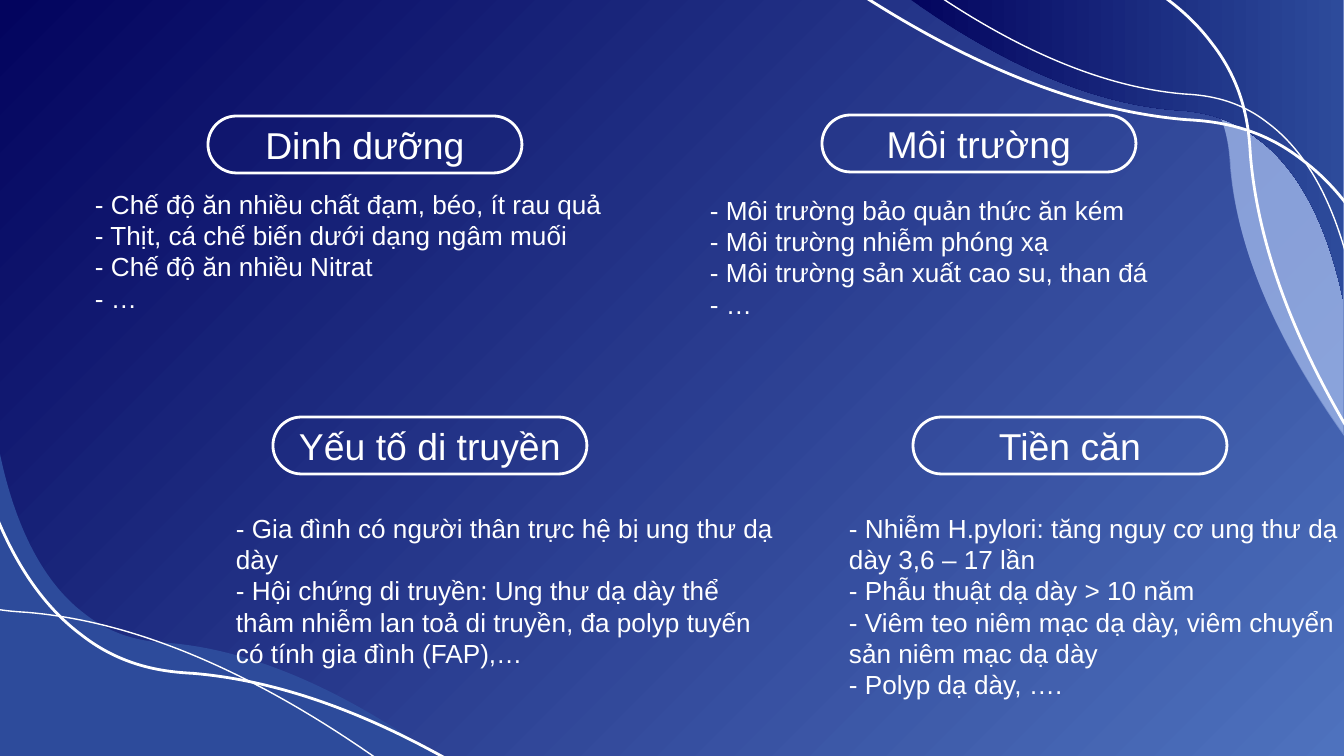
import copy
from dataclasses import dataclass
from typing import NamedTuple, Optional

import lxml.etree
import pptx
import pptx.dml.color
import pptx.enum.shapes
import pptx.enum.text
import pptx.oxml.ns
import pptx.util

EMU_PER_PIXEL = 914400 / 134.4


@dataclass(frozen=True)
class Theme:
    white: str = "FFFFFF"
    navy: str = "03045E"
    blue: str = "2D4B9B"
    light_blue: str = "4E72BE"
    pale_blue: str = "A0B7E9"
    pale_opacity: int = 53
    font: str = "Arial"
    heading_size: int = 20
    body_size: int = 14
    thin_line: float = 0.75
    thick_line: float = 1.5


THEME = Theme()


class Point(NamedTuple):
    x: int
    y: int


class Box(NamedTuple):
    left: int
    top: int
    width: int
    height: int


class Facing(NamedTuple):
    along: Point  # direction of the long side from the corner
    away: Point   # direction of the short side from the corner


RISING = Facing(Point(1, 0), Point(0, -1))
HANGING = Facing(Point(-1, 0), Point(0, 1))
SIDEWAYS = Facing(Point(0, 1), Point(-1, 0))


@dataclass(frozen=True)
class Wave:
    corner: Point
    length: int
    facing: Facing
    fill: Optional[str] = None
    opacity: int = 100
    gradient_end: Optional[str] = None
    line_width: Optional[float] = None


@dataclass(frozen=True)
class Factor:
    heading: str
    pill_left: int
    pill_top: int
    body_box: Box
    lines: tuple[str, ...]


# One wave outline, measured from its corner as (along, away)
WAVE_LENGTH = 436
WAVE_STRAIGHT = [Point(0, 302), Point(0, 0), Point(436, 0)]
WAVE_CURVES = [
    (Point(316, 85), Point(228, 108), Point(169, 113)),
    (Point(152, 114), Point(118, 116), Point(85, 142)),
    (Point(34, 180), Point(11, 250), Point(0, 302)),
]

WAVES = [
    Wave(Point(1344, 0), 436, SIDEWAYS, THEME.pale_blue, THEME.pale_opacity),
    Wave(Point(0, 756), 436, RISING, THEME.blue),
    Wave(Point(-198, 763), 581, RISING, line_width=THEME.thin_line),
    Wave(Point(-32, 824), 581, RISING, line_width=THEME.thick_line),
    Wave(Point(1343, -3), 436, SIDEWAYS, THEME.pale_blue, THEME.pale_opacity),
    Wave(Point(1343, -3), 436, HANGING, THEME.navy, gradient_end=THEME.blue),
    Wave(Point(1353, -19), 436, HANGING, line_width=THEME.thin_line),
    Wave(Point(1421, -38), 608, HANGING, line_width=THEME.thick_line),
    Wave(Point(1401, -70), 581, SIDEWAYS, line_width=THEME.thick_line),
]

PILL_WIDTH, PILL_HEIGHT, PILL_INSET = 314, 57, 13
FACTORS = [
    Factor("Dinh dưỡng", 208, 116, Box(95, 188, 539, 172), (
        "- Chế độ ăn nhiều chất đạm, béo, ít rau quả",
        "- Thịt, cá chế biến dưới dạng ngâm muối",
        "- Chế độ ăn nhiều Nitrat",
        "- …")),
    Factor("Môi trường", 822, 115, Box(710, 194, 539, 110), (
        "- Môi trường bảo quản thức ăn kém",
        "- Môi trường nhiễm phóng xạ",
        "- Môi trường sản xuất cao su, than đá",
        "- …")),
    Factor("Yếu tố di truyền", 273, 417, Box(236, 512, 539, 110), (
        "- Gia đình có người thân trực hệ bị ung thư dạ dày",
        "- Hội chứng di truyền: Ung thư dạ dày thể thâm nhiễm lan toả "
        "di truyền, đa polyp tuyến có tính gia đình (FAP),…")),
    Factor("Tiền căn", 913, 417, Box(849, 512, 495, 110), (
        "- Nhiễm H.pylori: tăng nguy cơ ung thư dạ dày 3,6 – 17 lần",
        "- Phẫu thuật dạ dày > 10 năm",
        "- Viêm teo niêm mạc dạ dày, viêm chuyển sản niêm mạc dạ dày",
        "- Polyp dạ dày, ….")),
]


def px(value: float) -> pptx.util.Emu:
    return pptx.util.Emu(round(value * EMU_PER_PIXEL))


def rgb(color: str) -> pptx.dml.color.RGBColor:
    return pptx.dml.color.RGBColor.from_string(color)


def set_gradient(fill, start: str, end: str, angle: int) -> None:
    fill.gradient()
    fill.gradient_angle = angle
    for stop, color, position in zip(fill.gradient_stops, (start, end), (0, 1)):
        stop.color.rgb = rgb(color)
        stop.position = position


def set_outline(shape, width: Optional[float]) -> None:
    if width is None:
        shape.line.fill.background()
    else:
        shape.line.color.rgb = rgb(THEME.white)
        shape.line.width = pptx.util.Pt(width)


def set_opacity(shape, percent: int) -> None:
    color = shape.fill._xPr.find(".//" + pptx.oxml.ns.qn("a:srgbClr"))
    alpha = lxml.etree.SubElement(color, pptx.oxml.ns.qn("a:alpha"))
    alpha.set("val", str(percent * 1000))


def place(wave: Wave, point: Point) -> Point:
    ratio = wave.length / WAVE_LENGTH
    along, away = wave.facing
    return Point(px(wave.corner.x + ratio * (point.x * along.x + point.y * away.x)),
                 px(wave.corner.y + ratio * (point.x * along.y + point.y * away.y)))


def bend(shape, curves: list[list[Point]]) -> None:
    """Turn the last straight segments of a freeform into cubic curves."""
    qn = pptx.oxml.ns.qn
    segments = list(shape._element.iter(qn("a:lnTo")))[-len(curves):]
    for segment, curve in zip(segments, curves):
        cubic = lxml.etree.Element(qn("a:cubicBezTo"))
        for point in curve:
            lxml.etree.SubElement(cubic, qn("a:pt"), x=str(point.x - shape.left),
                                  y=str(point.y - shape.top))
        segment.getparent().replace(segment, cubic)


def draw_wave(slide, wave: Wave) -> None:
    start, *straight = [place(wave, point) for point in WAVE_STRAIGHT]
    curves = [[place(wave, point) for point in curve] for curve in WAVE_CURVES]
    builder = slide.shapes.build_freeform(start.x, start.y)
    builder.add_line_segments(straight + [curve[-1] for curve in curves], close=True)
    shape = builder.convert_to_shape()
    bend(shape, curves)
    shape.shadow.inherit = False
    if wave.fill is None:
        shape.fill.background()
    elif wave.gradient_end:
        set_gradient(shape.fill, wave.fill, wave.gradient_end, 0)
    else:
        shape.fill.solid()
        shape.fill.fore_color.rgb = rgb(wave.fill)
        if wave.opacity < 100:
            set_opacity(shape, wave.opacity)
    set_outline(shape, wave.line_width)


def write_text(shape, *lines: str, size: int, inset: int = 0,
               align=pptx.enum.text.PP_ALIGN.LEFT,
               anchor=pptx.enum.text.MSO_ANCHOR.TOP) -> None:
    frame = shape.text_frame
    frame.word_wrap = True
    frame.vertical_anchor = anchor
    frame.margin_left = frame.margin_right = px(inset)
    frame.margin_top = frame.margin_bottom = px(inset)
    paragraph = frame.paragraphs[0]
    paragraph.alignment = align
    for index, line in enumerate(lines):
        if index:
            paragraph.add_line_break()
        run = paragraph.add_run()
        run.text = line
        run.font.name = THEME.font
        run.font.size = pptx.util.Pt(size)
        run.font.color.rgb = rgb(THEME.white)
    # Line breaks take the same type size as the runs
    for line_break in paragraph._p.findall(pptx.oxml.ns.qn("a:br")):
        line_break.append(copy.deepcopy(run._r.rPr))


def draw_factor(slide, factor: Factor) -> None:
    pill = slide.shapes.add_shape(
        pptx.enum.shapes.MSO_SHAPE.ROUNDED_RECTANGLE,
        px(factor.pill_left), px(factor.pill_top), px(PILL_WIDTH), px(PILL_HEIGHT))
    pill.adjustments[0] = 0.5
    pill.shadow.inherit = False
    pill.fill.background()
    set_outline(pill, THEME.thick_line)
    write_text(pill, factor.heading, size=THEME.heading_size, inset=PILL_INSET,
               align=pptx.enum.text.PP_ALIGN.CENTER,
               anchor=pptx.enum.text.MSO_ANCHOR.MIDDLE)
    body = slide.shapes.add_textbox(*map(px, factor.body_box))
    write_text(body, *factor.lines, size=THEME.body_size)


def main() -> None:
    presentation = pptx.Presentation()
    presentation.slide_width, presentation.slide_height = px(1344), px(756)
    slide = presentation.slides.add_slide(presentation.slide_layouts[6])

    # Background and wave decoration
    set_gradient(slide.background.fill, THEME.light_blue, THEME.navy, 135)
    for wave in WAVES:
        draw_wave(slide, wave)

    # Risk factors
    for factor in FACTORS:
        draw_factor(slide, factor)
    presentation.save("out.pptx")


if __name__ == "__main__":
    main()
